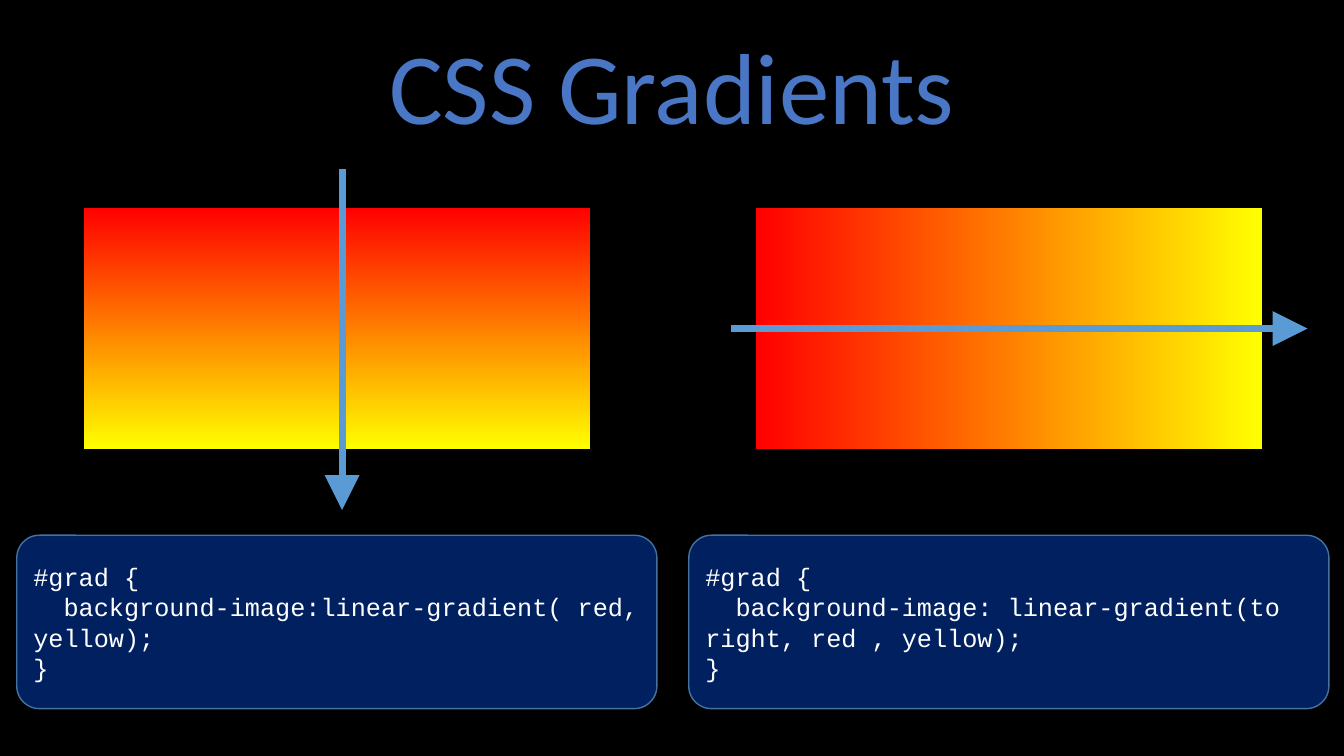
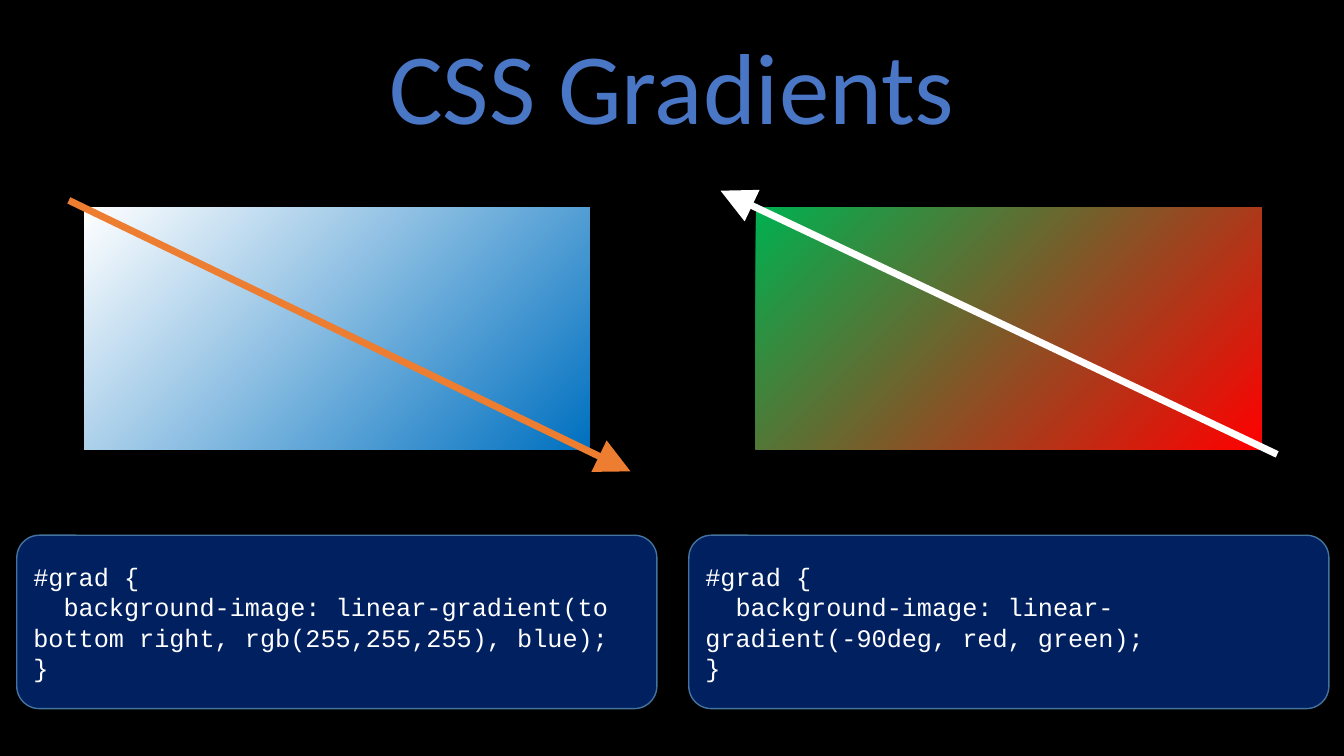
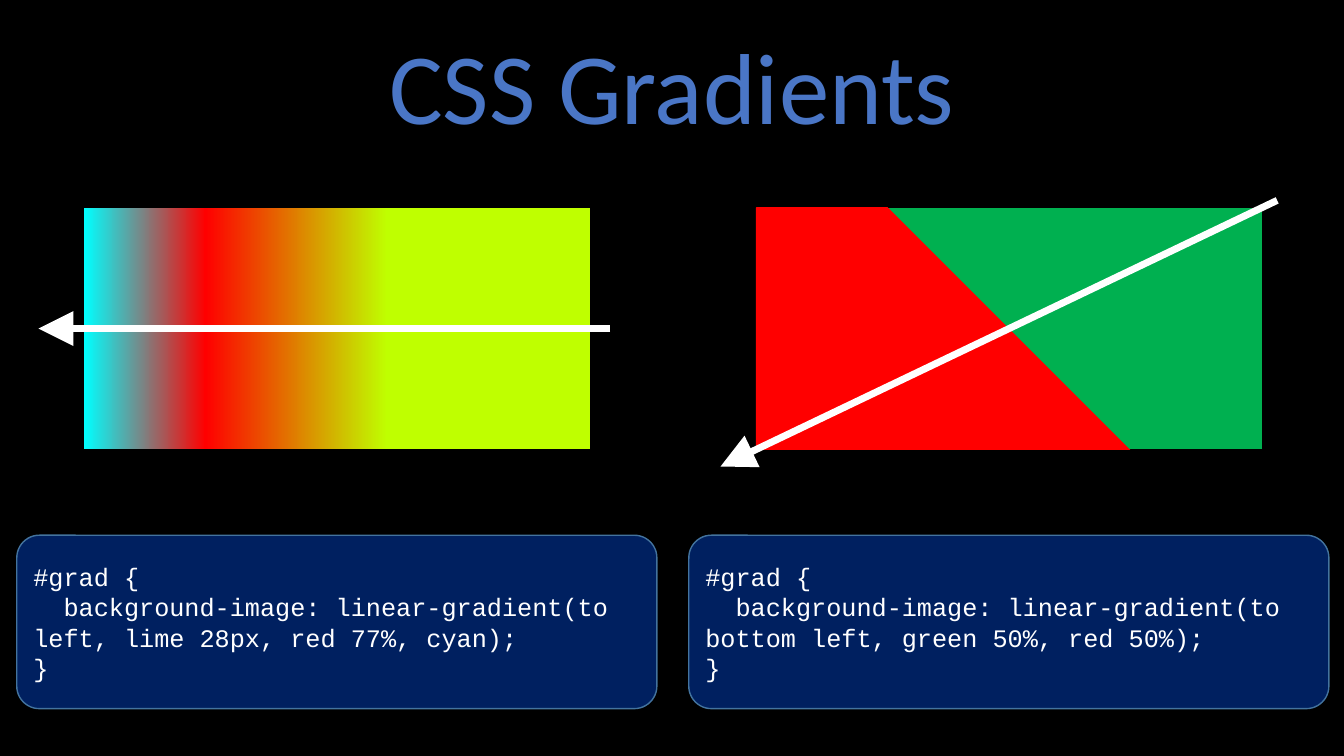
import pptx
import pptx.dml.color
import pptx.enum.shapes
import pptx.enum.text
import pptx.oxml.ns
import pptx.util
import lxml.etree

# Square grid: 80 columns by 45 rows, two panels of 40 columns
COLUMNS, ROWS, PANEL = 80, 45, 40
CELL = pptx.util.Inches(1) / 6

# Frames in cells: left, top, width, height (left counts from the panel edge)
TITLE_FRAME = (0, 1.08, COLUMNS, 7.86)
SWATCH_FRAME = (5, 12.36, 30.12, 14.4)
CODE_FRAME = (1, 31.86, 38.1, 10.32)

COLORS = {
    "background": "000000", "code_fill": "002060", "code_edge": "43739E",
    "title_dark": "2A4B86", "title_mid": "4A76C6", "title_light": "8FAADC",
    "sky": "5B9BD5", "orange": "ED7D31", "white": "FFFFFF",
    "yellow": "FFFF00", "red": "FF0000", "green": "00B050",
    "blue": "0070C0", "lime": "BFFF00", "cyan": "00FFFF",
}
TITLE = "CSS\u00a0Gradients"
TITLE_STOPS = [(0, "title_dark"), (48, "title_mid"), (100, "title_light")]
TITLE_FONT = {"name": "Calibri", "size": pptx.util.Pt(72)}
CODE_FONT = {"name": "Courier New", "size": pptx.util.Pt(18)}
FIRE = [(0, "yellow"), (100, "red")]

# Each slide holds a left and a right example. Angles run counter-clockwise;
# arrow ends are shares of the swatch's width and height.
SLIDES = [
    [
        {"declaration": "background-image:linear-gradient( red, yellow);",
         "stops": FIRE, "angle": 90,
         "arrow": ((0.51, -0.16), (0.51, 1.25)), "arrow_color": "sky"},
        {"declaration": "background-image:\u00a0linear-gradient(to right, red , yellow);",
         "stops": FIRE, "angle": 180,
         "arrow": ((-0.05, 0.5), (1.09, 0.5)), "arrow_color": "sky"},
    ],
    [
        {"declaration": "background-image:\u00a0linear-gradient"
                        "(to bottom right, rgb(255,255,255), blue);",
         "stops": [(0, "blue"), (100, "white")], "angle": 135,
         "arrow": ((-0.03, -0.03), (1.08, 1.09)), "arrow_color": "orange"},
        {"declaration": "background-image:\u00a0linear-gradient(-90deg, red, green);",
         "stops": [(0, "green"), (100, "red")], "angle": 315,
         "arrow": ((1.03, 1.02), (-0.07, -0.07)), "arrow_color": "white"},
    ],
    [
        {"declaration": "background-image: linear-gradient(to left, lime 28px, red 77%, cyan);",
         "stops": [(40, "lime"), (76, "red"), (100, "cyan")], "angle": 180,
         "arrow": ((1.04, 0.5), (-0.09, 0.5)), "arrow_color": "white"},
        {"declaration": "background-image: linear-gradient"
                        "(to bottom left, green 50%, red 50%);",
         "stops": [(50, "green"), (50, "red")], "angle": 225,
         "arrow": ((1.03, -0.03), (-0.07, 1.07)), "arrow_color": "white"},
    ],
]


def rgb(name):
    return pptx.dml.color.RGBColor.from_string(COLORS[name])


def cells(*counts):
    return [round(count * CELL) for count in counts]


def in_panel(frame, panel):
    left, *rest = frame
    return (left + panel * PANEL, *rest)


def set_formats(target, formats):
    for attribute, value in formats.items():
        setattr(target, attribute, value)


def paint_gradient(owner, fill, stops, angle):
    """Give the fill any number of stops, each (percent, colour name)."""
    qn = pptx.oxml.ns.qn
    fill.gradient()
    fill.gradient_angle = angle
    stop_list = owner.element.find(".//" + qn("a:gsLst"))
    for default_stop in list(stop_list):
        stop_list.remove(default_stop)
    for percent, color in stops:
        stop = lxml.etree.SubElement(stop_list, qn("a:gs"), pos=str(percent * 1000))
        lxml.etree.SubElement(stop, qn("a:srgbClr"), val=COLORS[color])


def add_title(slide):
    title = slide.shapes.title
    set_formats(title, dict(zip(("left", "top", "width", "height"), cells(*TITLE_FRAME))))
    title.text_frame.auto_size = pptx.enum.text.MSO_AUTO_SIZE.SHAPE_TO_FIT_TEXT
    heading = title.text_frame.paragraphs[0]
    heading.alignment = pptx.enum.text.PP_ALIGN.CENTER
    words = heading.add_run()
    words.text = TITLE
    set_formats(words.font, TITLE_FONT)
    paint_gradient(title, words.font.fill, TITLE_STOPS, 90)


def add_code(slide, panel, declaration):
    code_box = slide.shapes.add_shape(
        pptx.enum.shapes.MSO_SHAPE.ROUNDED_RECTANGLE, *cells(*in_panel(CODE_FRAME, panel)))
    code_box.adjustments[0] = 0.13
    code_box.shadow.inherit = False
    code_box.fill.solid()
    code_box.fill.fore_color.rgb = rgb("code_fill")
    code_box.line.color.rgb = rgb("code_edge")
    code_box.line.width = pptx.util.Pt(1)
    set_formats(code_box.text_frame, {
        "word_wrap": True, "vertical_anchor": pptx.enum.text.MSO_ANCHOR.MIDDLE})
    rule = code_box.text_frame.paragraphs[0]
    rule.alignment = pptx.enum.text.PP_ALIGN.LEFT
    rule.text = f"#grad\u00a0{{\n  {declaration}\n}}"
    for code_line in rule.runs:
        set_formats(code_line.font, CODE_FONT)
        code_line.font.color.rgb = rgb("white")


def add_swatch(slide, panel, stops, angle):
    swatch = slide.shapes.add_shape(
        pptx.enum.shapes.MSO_SHAPE.RECTANGLE, *cells(*in_panel(SWATCH_FRAME, panel)))
    swatch.shadow.inherit = False
    swatch.line.fill.background()
    paint_gradient(swatch, swatch.fill, stops, angle)


def add_arrow(slide, panel, ends, color):
    qn = pptx.oxml.ns.qn
    left, top, width, height = in_panel(SWATCH_FRAME, panel)
    (start_x, start_y), (tip_x, tip_y) = ends
    arrow = slide.shapes.add_connector(
        pptx.enum.shapes.MSO_CONNECTOR.STRAIGHT,
        *cells(left + start_x * width, top + start_y * height,
               left + tip_x * width, top + tip_y * height))
    arrow.line.color.rgb = rgb(color)
    arrow.line.width = pptx.util.Pt(5)
    properties = arrow.element.find(qn("p:spPr"))
    lxml.etree.SubElement(properties.find(qn("a:ln")), qn("a:tailEnd"),
                          type="triangle", w="lg", len="lg")
    lxml.etree.SubElement(properties, qn("a:effectLst"))


def main():
    deck = pptx.Presentation()
    deck.slide_width, deck.slide_height = cells(COLUMNS, ROWS)

    # Shared black background
    backdrop = deck.slide_master.background.fill
    backdrop.solid()
    backdrop.fore_color.rgb = rgb("background")

    title_only = deck.slide_layouts.get_by_name("Title Only")
    for examples in SLIDES:
        slide = deck.slides.add_slide(title_only)
        add_title(slide)
        for panel, example in enumerate(examples):
            add_code(slide, panel, example["declaration"])
            add_swatch(slide, panel, example["stops"], example["angle"])
            add_arrow(slide, panel, example["arrow"], example["arrow_color"])

    deck.save("out.pptx")


main()
